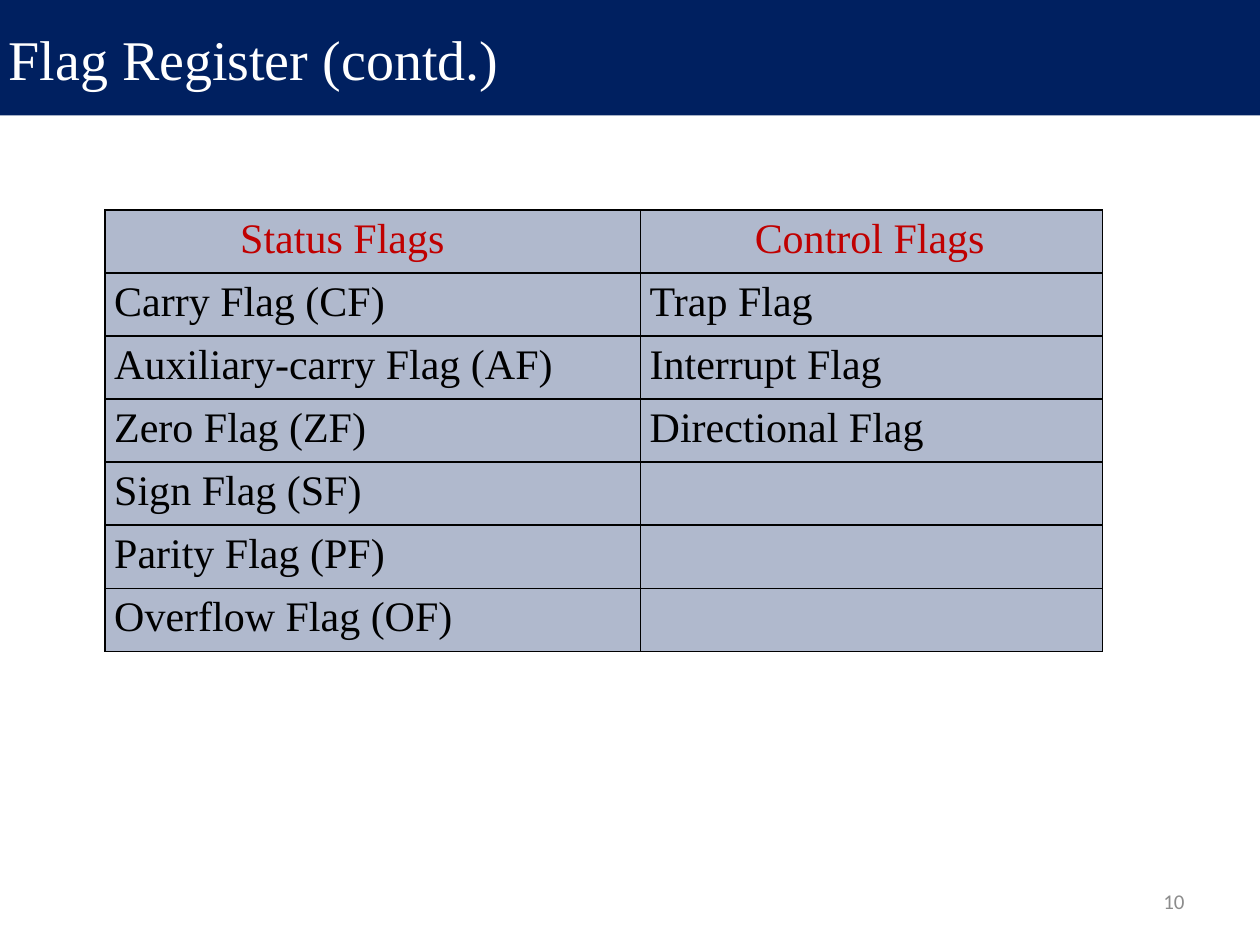
from lxml.etree import SubElement
from pptx import Presentation
from pptx.dml.color import RGBColor
from pptx.enum.shapes import MSO_SHAPE
from pptx.enum.text import MSO_ANCHOR, PP_ALIGN
from pptx.oxml.ns import qn
from pptx.util import Pt


def rgb(color):
    return RGBColor.from_string(color)


def write(p, text, size, color, font="Times New Roman", align=PP_ALIGN.LEFT):
    p.text = text
    p.alignment = align
    p.font.size = Pt(size)
    p.font.name = font
    p.font.color.rgb = rgb(color)


prs = Presentation()
prs.slide_width, prs.slide_height = Pt(720), Pt(540)
s = prs.slides.add_slide(prs.slide_layouts[6])

title = s.shapes.add_shape(MSO_SHAPE.RECTANGLE, Pt(-2.2), Pt(0), Pt(722.2), Pt(66))
title.shadow.inherit = False
title.fill.solid()
title.fill.fore_color.rgb = rgb("002060")
title.line.fill.background()
tf = title.text_frame
tf.word_wrap = True
tf.vertical_anchor = MSO_ANCHOR.MIDDLE
write(tf.paragraphs[0], "Flag Register (contd.)", 32, "FFFFFF")

number = s.shapes.add_textbox(Pt(516), Pt(500.5), Pt(168), Pt(28.75))
tf = number.text_frame
tf.word_wrap = True
tf.vertical_anchor = MSO_ANCHOR.MIDDLE
write(tf.paragraphs[0], "10", 12, "8C8C8C", "Calibri", PP_ALIGN.RIGHT)

rows = [
    ("Status Flags", "Control Flags"),
    ("Carry Flag (CF)", "Trap Flag"),
    ("Auxiliary-carry Flag (AF)", "Interrupt Flag"),
    ("Zero Flag (ZF)", "Directional Flag"),
    ("Sign Flag (SF)", ""),
    ("Parity Flag (PF)", ""),
    ("Overflow Flag (OF)", ""),
]
widths = [306, 264]
header_indents = [72, 60]
row_height = 35.1

table = s.shapes.add_table(len(rows), len(widths), Pt(60), Pt(120),
                           Pt(sum(widths)), Pt(row_height * len(rows))).table
for column, width in zip(table.columns, widths):
    column.width = Pt(width)

for i, texts in enumerate(rows):
    table.rows[i].height = Pt(row_height)
    for j, text in enumerate(texts):
        cell = table.cell(i, j)
        cell.margin_left = cell.margin_right = Pt(5.3)
        cell.margin_top = cell.margin_bottom = Pt(3.6)
        p = cell.text_frame.paragraphs[0]
        write(p, text, 24, "000000" if i else "C00000")
        if i == 0:
            p._p.get_or_add_pPr().set("marL", str(Pt(header_indents[j])))
        tcPr = cell._tc.get_or_add_tcPr()
        for side in ("lnL", "lnR", "lnT", "lnB"):
            ln = SubElement(tcPr, qn(f"a:{side}"), w=str(Pt(1)))
            SubElement(SubElement(ln, qn("a:solidFill")), qn("a:srgbClr"), val="000000")
        cell.fill.solid()
        cell.fill.fore_color.rgb = rgb("002060")
        color = tcPr.find(qn("a:solidFill")).find(qn("a:srgbClr"))
        SubElement(color, qn("a:alpha"), val="31000")

prs.save("out.pptx")
